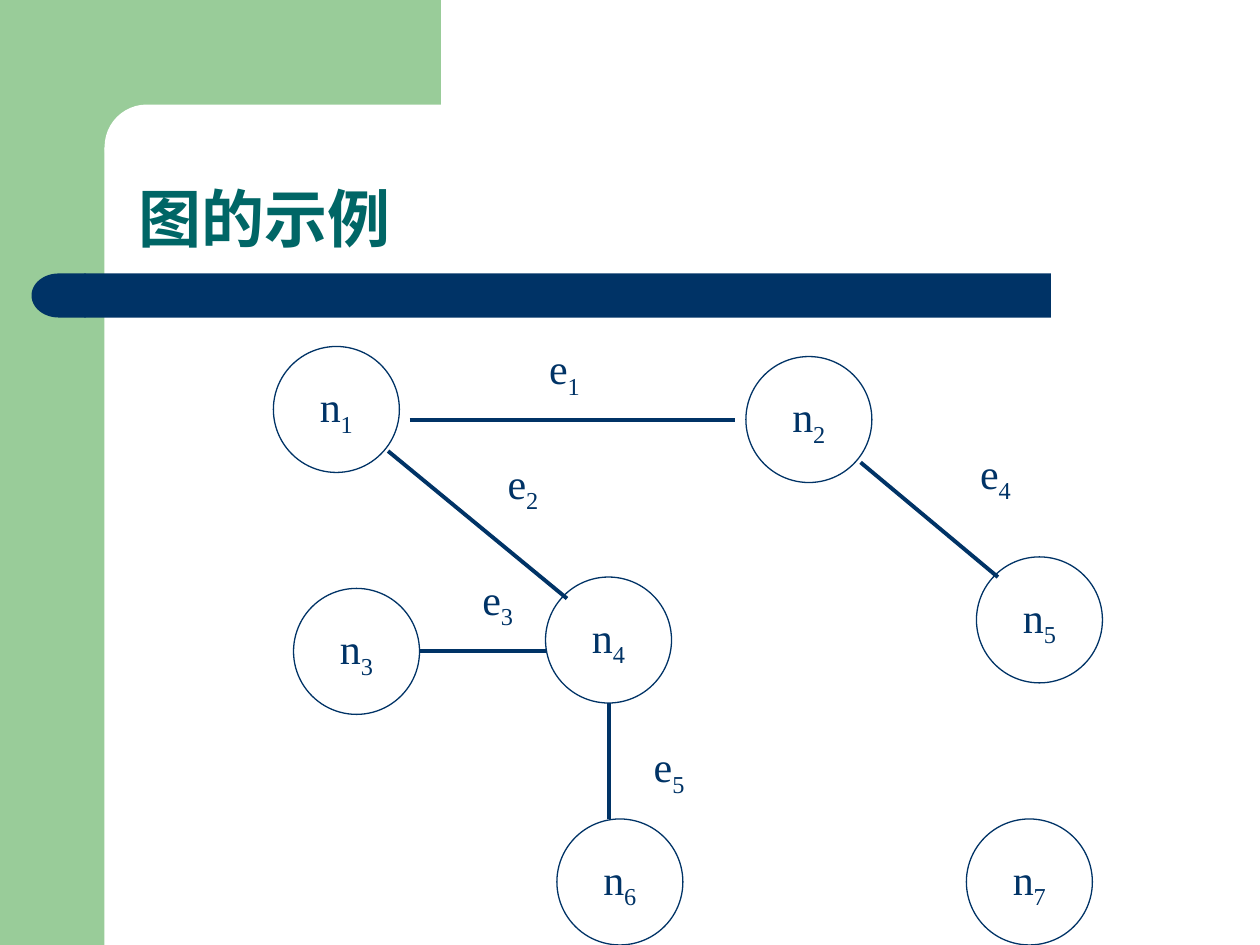
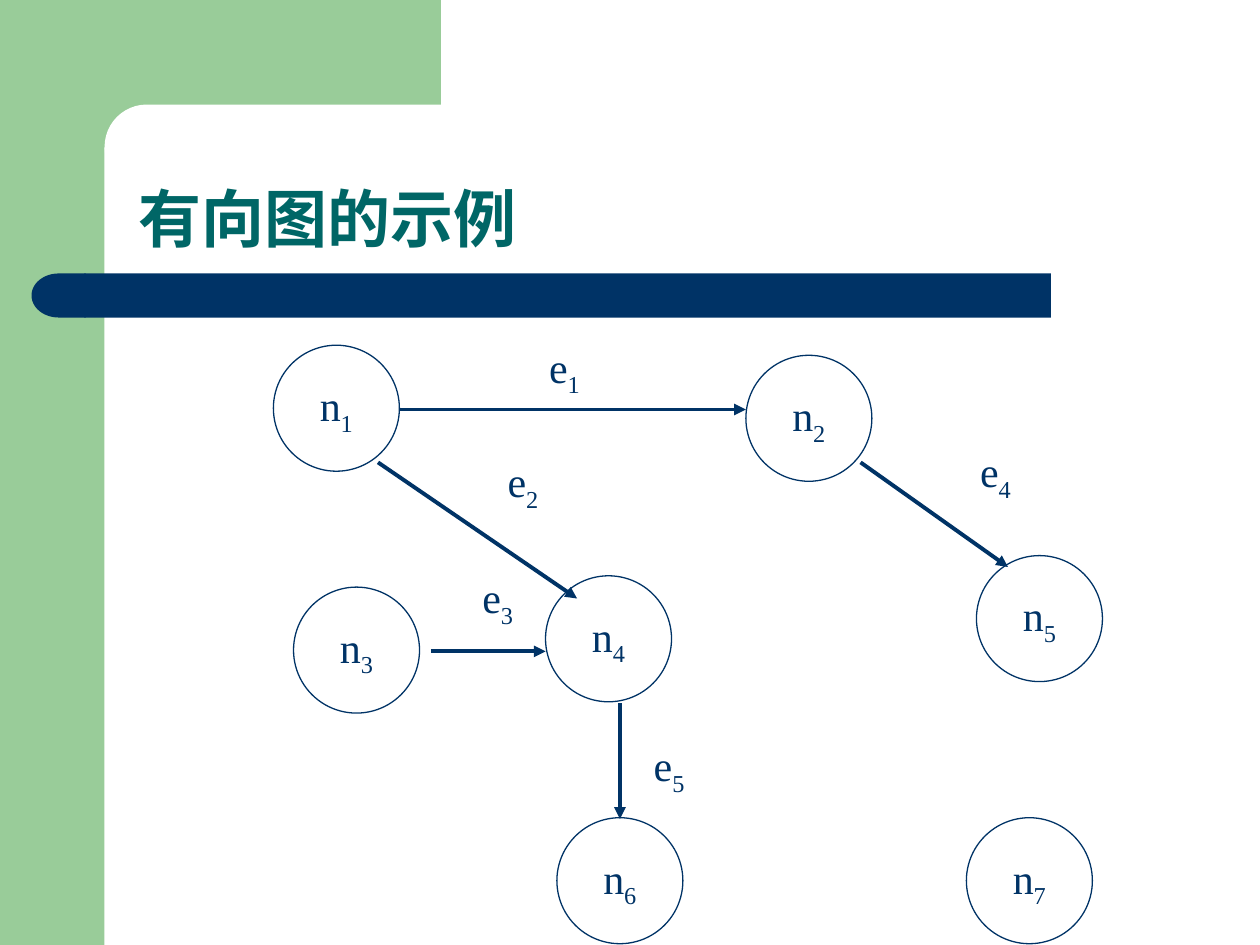
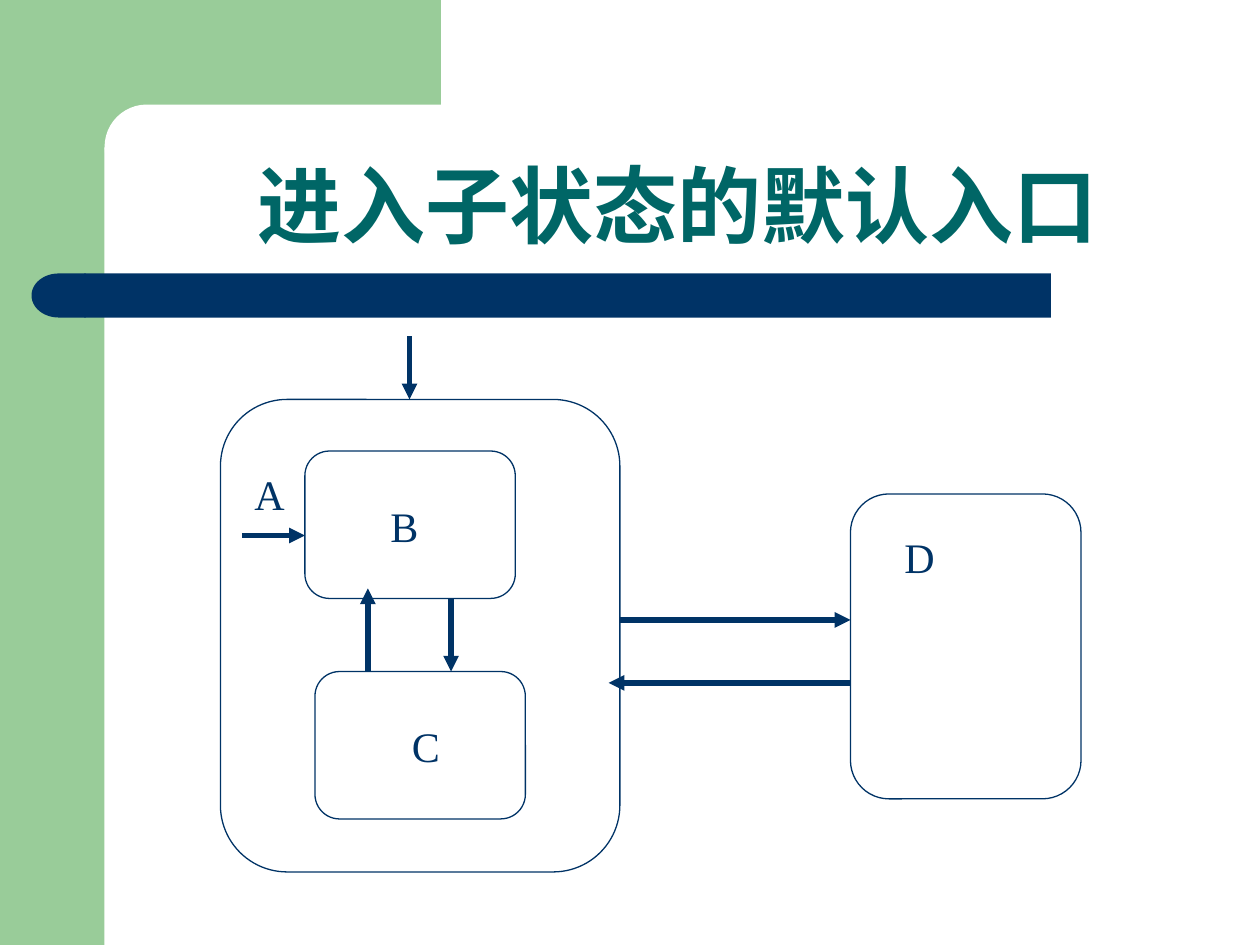
from dataclasses import dataclass
from typing import Any, Optional

import pptx
import pptx.dml.color
import pptx.enum.shapes
import pptx.enum.text
import pptx.oxml
import pptx.oxml.ns
import pptx.util

Inches = pptx.util.Inches
Pt = pptx.util.Pt
Preset = pptx.enum.shapes.MSO_SHAPE
Align = pptx.enum.text.PP_ALIGN
Anchor = pptx.enum.text.MSO_ANCHOR
AutoSize = pptx.enum.text.MSO_AUTO_SIZE

COLOURS = {"green": "99CC99", "navy": "003366", "teal": "006666", "white": "FFFFFF"}
TITLE_FONT = {"name": "Arial", "size": Pt(36), "bold": True}
BODY_FONT = {"name": "Times New Roman", "size": Pt(24)}
TITLE_PLACE = {"left": Inches(1), "top": Inches(0.83),
               "width": Inches(8.75), "height": Inches(1.25)}
TITLE_FRAME = {"vertical_anchor": Anchor.BOTTOM, "word_wrap": True,
               "auto_size": AutoSize.NONE}
NODE_FRAME = {"vertical_anchor": Anchor.MIDDLE, "word_wrap": False}
LABEL_FRAME = {"vertical_anchor": Anchor.TOP, "word_wrap": True,
               "auto_size": AutoSize.NONE}
NODE_SIZE = 1
LABEL_SIZE = (0.5, 0.56)
STATE_CORNER = 0.167


@dataclass(frozen=True)
class Band:
    preset: Any
    left: float
    top: float
    width: float
    height: float
    colour: str
    corner: Optional[float] = None
    rotation: int = 0


@dataclass(frozen=True)
class Label:
    text: str
    left: float
    top: float
    subscript: str = ""


@dataclass(frozen=True)
class Edge:
    start: tuple[float, float]
    end: tuple[float, float]


@dataclass(frozen=True)
class State:
    left: float
    top: float
    width: float
    height: float


@dataclass(frozen=True)
class Graph:
    title: str
    edges: list[Edge]
    rise: float
    directed: bool


BANDS = [
    Band(Preset.RECTANGLE, 0, 0, 0.83, 7.5, "green"),
    Band(Preset.RECTANGLE, 0.75, 0, 2.75, 1.17, "green"),
    Band(Preset.ROUNDED_RECTANGLE, 0.83, 0.83, 5.58, 0.67, "white", corner=0.5),
    Band(Preset.ROUNDED_RECTANGLE, 0.67, 2.17, 7.67, 0.35, "navy", corner=0),
    Band(Preset.FLOWCHART_DELAY, 0.25, 2.17, 0.43, 0.35, "navy", rotation=180),
]
NODES = [
    Label("n", 2.17, 2.75, "1"),
    Label("n", 5.92, 2.83, "2"),
    Label("n", 2.33, 4.67, "3"),
    Label("n", 4.33, 4.58, "4"),
    Label("n", 7.75, 4.42, "5"),
    Label("n", 4.42, 6.5, "6"),
    Label("n", 7.67, 6.5, "7"),
]
EDGE_LABELS = [
    Label("e", 4.26, 2.67, "1"),
    Label("e", 3.93, 3.58, "2"),
    Label("e", 3.73, 4.5, "3"),
    Label("e", 7.68, 3.5, "4"),
    Label("e", 5.09, 5.83, "5"),
]
GRAPHS = [
    Graph("图的示例", [
        Edge((3.25, 3.33), (5.83, 3.33)),
        Edge((3.08, 3.58), (4.5, 4.75)),
        Edge((3.33, 5.17), (4.33, 5.17)),
        Edge((6.83, 3.67), (7.92, 4.58)),
        Edge((4.83, 5.58), (4.83, 6.5)),
    ], rise=0, directed=False),
    Graph("有向图的示例", [
        Edge((3.17, 3.25), (5.92, 3.25)),
        Edge((3, 3.67), (4.58, 4.75)),
        Edge((3.42, 5.17), (4.33, 5.17)),
        Edge((6.83, 3.67), (8, 4.5)),
        Edge((4.92, 5.58), (4.92, 6.5)),
    ], rise=0.01, directed=True),
]
STATES = [
    State(1.75, 3.17, 3.17, 3.75),
    State(2.42, 3.58, 1.67, 1.17),
    State(2.5, 5.33, 1.67, 1.17),
    State(6.75, 3.92, 1.83, 2.42),
]
STATE_LABELS = [
    Label("A", 1.92, 3.67),
    Label("B", 3, 3.92),
    Label("C", 3.17, 5.67),
    Label("D", 7.08, 4.17),
]
TRANSITIONS = [
    Edge((3.25, 2.67), (3.25, 3.17)),
    Edge((1.92, 4.25), (2.42, 4.25)),
    Edge((2.92, 5.33), (2.92, 4.67)),
    Edge((3.58, 4.75), (3.58, 5.33)),
    Edge((4.92, 4.92), (6.75, 4.92)),
    Edge((6.75, 5.42), (4.83, 5.42)),
]


def rgb(name: str) -> pptx.dml.color.RGBColor:
    return pptx.dml.color.RGBColor.from_string(COLOURS[name])


def apply_format(target: Any, values: dict[str, Any]) -> None:
    for name, value in values.items():
        setattr(target, name, value)


def add_span(para: Any, text: str, font: dict[str, Any], colour: str) -> Any:
    span = para.add_run()
    span.text = text
    apply_format(span.font, font)
    span.font.color.rgb = rgb(colour)
    return span


def write_label(box: Any, label: Label, frame: dict[str, Any], align: Any) -> None:
    apply_format(box.text_frame, frame)
    para = box.text_frame.paragraphs[0]
    para.alignment = align
    add_span(para, label.text, BODY_FONT, "navy")
    if label.subscript:
        span = add_span(para, label.subscript, BODY_FONT, "navy")
        span._r.get_or_add_rPr().set("baseline", "-25000")


def draw_outline(page: Any, preset: Any, left: float, top: float,
                 width: float, height: float) -> Any:
    shape = page.shapes.add_shape(
        preset, Inches(left), Inches(top), Inches(width), Inches(height))
    shape.shadow.inherit = False
    shape.fill.background()
    shape.line.color.rgb = rgb("navy")
    shape.line.width = Pt(0.75)
    return shape


def draw_node(page: Any, node: Label, rise: float) -> None:
    circle = draw_outline(page, Preset.OVAL, node.left, node.top - rise,
                          NODE_SIZE, NODE_SIZE)
    write_label(circle, node, NODE_FRAME, Align.CENTER)


def draw_label(page: Any, label: Label, rise: float = 0) -> None:
    width, height = LABEL_SIZE
    box = page.shapes.add_textbox(Inches(label.left), Inches(label.top - rise),
                                  Inches(width), Inches(height))
    write_label(box, label, LABEL_FRAME, Align.LEFT)


def draw_edge(page: Any, edge: Edge, weight: float, arrow: bool) -> None:
    ends = [Inches(value) for value in (*edge.start, *edge.end)]
    connector = page.shapes.add_connector(
        pptx.enum.shapes.MSO_CONNECTOR.STRAIGHT, *ends)
    connector.line.color.rgb = rgb("navy")
    connector.line.width = Pt(weight)
    if arrow:
        head = pptx.oxml.parse_xml(
            f'<a:tailEnd {pptx.oxml.ns.nsdecls("a")} type="triangle"/>')
        connector.line._get_or_add_ln().append(head)
    connector.element.spPr.append(
        pptx.oxml.parse_xml(f'<a:effectLst {pptx.oxml.ns.nsdecls("a")}/>'))


def draw_band(page: Any, band: Band) -> Any:
    shape = page.shapes.add_shape(
        band.preset, Inches(band.left), Inches(band.top),
        Inches(band.width), Inches(band.height))
    shape.shadow.inherit = False
    shape.fill.solid()
    shape.fill.fore_color.rgb = rgb(band.colour)
    shape.line.fill.background()
    shape.rotation = band.rotation
    if band.corner is not None:
        shape.adjustments[0] = band.corner
    return shape


def move_bands_to_layout(page: Any) -> None:
    tree = page.slide_layout.shapes.element
    for index, band in enumerate(BANDS):
        element = draw_band(page, band).element
        element.xpath(".//p:cNvPr")[0].set("id", str(100 + index))
        tree.insert(2 + index, element)


def add_page(deck: Any, title: str, align: Any = Align.LEFT, size: int = 36) -> Any:
    page = deck.slides.add_slide(deck.slide_layouts[5])
    box = page.shapes.title
    apply_format(box, TITLE_PLACE)
    apply_format(box.text_frame, TITLE_FRAME)
    para = box.text_frame.paragraphs[0]
    apply_format(para, {"alignment": align, "line_spacing": 0.9})
    add_span(para, title, {**TITLE_FONT, "size": Pt(size)}, "teal")
    return page


def add_graph_page(deck: Any, graph: Graph) -> Any:
    page = add_page(deck, graph.title)
    for node in NODES:
        draw_node(page, node, graph.rise)
    for label in EDGE_LABELS:
        draw_label(page, label, graph.rise)
    for edge in graph.edges:
        draw_edge(page, edge, 2.25, graph.directed)
    return page


def add_state_page(deck: Any) -> None:
    page = add_page(deck, "进入子状态的默认入口", Align.CENTER, 48)
    for state in STATES:
        shape = draw_outline(page, Preset.ROUNDED_RECTANGLE, state.left, state.top,
                             state.width, state.height)
        shape.adjustments[0] = STATE_CORNER
    for label in STATE_LABELS:
        draw_label(page, label)
    for transition in TRANSITIONS:
        draw_edge(page, transition, 3, True)


def main() -> None:
    deck = pptx.Presentation()
    deck.slide_width = Inches(10)
    deck.slide_height = Inches(7.5)
    pages = [add_graph_page(deck, graph) for graph in GRAPHS]
    move_bands_to_layout(pages[0])
    add_state_page(deck)
    deck.save("out.pptx")


if __name__ == "__main__":
    main()
